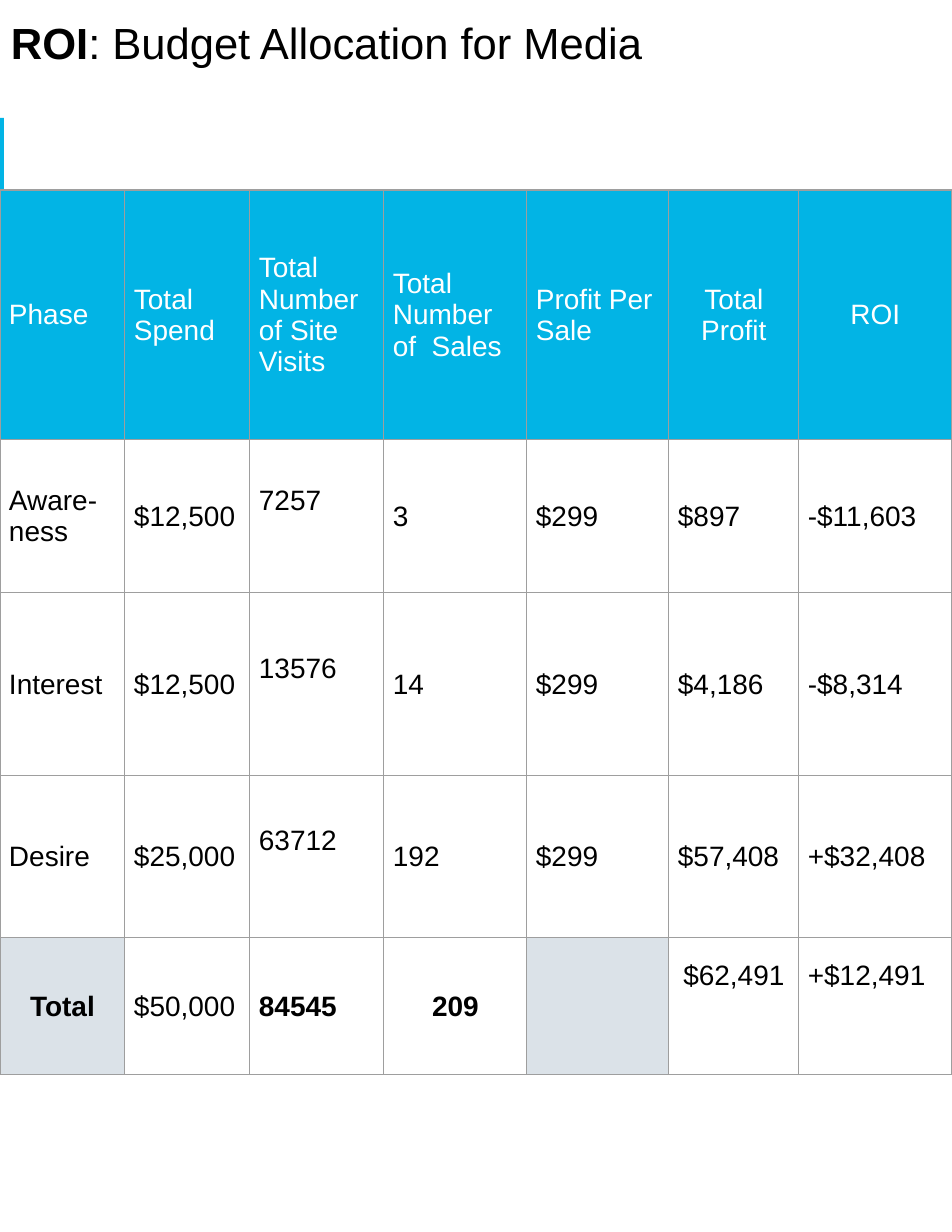
from pptx import Presentation
from pptx.dml.color import RGBColor
from pptx.enum.shapes import MSO_SHAPE
from pptx.enum.text import MSO_ANCHOR, PP_ALIGN
from pptx.oxml import parse_xml
from pptx.oxml.ns import nsdecls
from pptx.util import Emu, Pt

RECT = MSO_SHAPE.RECTANGLE
TOP, MIDDLE = MSO_ANCHOR.TOP, MSO_ANCHOR.MIDDLE
LEFT, CENTER = PP_ALIGN.LEFT, PP_ALIGN.CENTER

PX_PER_INCH = 112
FONT = "Arial"
COLORS = {
    "accent": "02B4E5",
    "muted": "DBE2E8",
    "border": "9E9E9E",
    "text": "000000",
    "white": "FFFFFF",
}

COL_WIDTHS = [125, 125, 134, 143, 142, 130, 153]
ROW_HEIGHTS = [250, 153, 183, 162, 137]
ROWS = [
    ["Phase", "Total Spend", "Total Number of Site Visits",
     "Total Number of  Sales", "Profit Per Sale", "Total Profit", "ROI"],
    ["Aware-\nness", "$12,500", "7257", "3", "$299", "$897", "-$11,603"],
    ["Interest", "$12,500", "13576", "14", "$299", "$4,186", "-$8,314"],
    ["Desire", "$25,000", "63712", "192", "$299", "$57,408", "+$32,408"],
    ["Total", "$50,000", "84545", "209", "", "$62,491", "+$12,491"],
]
HEADER, TOTAL = 0, len(ROWS) - 1
VISITS = 2
CENTERED = {(HEADER, 5), (HEADER, 6), (TOTAL, 0), (TOTAL, 3), (TOTAL, 5)}
BOLD = {(TOTAL, 0), (TOTAL, 2), (TOTAL, 3)}
MUTED = {(TOTAL, 0), (TOTAL, 4)}
TOP_ALIGNED = {(TOTAL, 5), (TOTAL, 6)}


def px(n):
    return Emu(n * 914400 // PX_PER_INCH)


def rgb(name):
    return RGBColor.from_string(COLORS[name])


def style_font(font, size, color, bold=False):
    font.name = FONT
    font.size = Pt(size)
    font.bold = bold
    font.color.rgb = rgb(color)


def add_bar(slide, x, y, w, h):
    sp = slide.shapes.add_shape(RECT, px(x), px(y), px(w), px(h))
    sp.shadow.inherit = False
    sp.fill.solid()
    sp.fill.fore_color.rgb = rgb("accent")
    sp.line.fill.background()


def add_title(slide, x, y, w, h, parts):
    tf = slide.shapes.add_textbox(px(x), px(y), px(w), px(h)).text_frame
    tf.word_wrap = True
    tf.vertical_anchor = TOP
    tf.margin_left = tf.margin_right = tf.margin_bottom = px(11)
    tf.margin_top = px(16)
    for text, bold in parts:
        r = tf.paragraphs[0].add_run()
        r.text = text
        style_font(r.font, 28, "text", bold)


def set_borders(cell):
    tc_pr = cell._tc.get_or_add_tcPr()
    for i, side in enumerate(("lnL", "lnR", "lnT", "lnB")):
        tc_pr.insert(i, parse_xml(
            f'<a:{side} {nsdecls("a")} w="{Pt(0.75)}"><a:solidFill>'
            f'<a:srgbClr val="{COLORS["border"]}"/></a:solidFill></a:{side}>'))


def fill_cell(cell, row, col, text):
    key = (row, col)
    # Background and borders
    if row == HEADER or key in MUTED:
        cell.fill.solid()
        cell.fill.fore_color.rgb = rgb("accent" if row == HEADER else "muted")
    else:
        cell.fill.background()
    set_borders(cell)
    # Placement: visit counts sit a little above the middle
    cell.margin_left = cell.margin_right = px(9)
    cell.margin_top = cell.margin_bottom = px(22)
    if col == VISITS and HEADER < row < TOTAL:
        cell.margin_bottom = px(54)
    cell.vertical_anchor = TOP if key in TOP_ALIGNED else MIDDLE
    # Text
    cell.text_frame.text = text
    for p in cell.text_frame.paragraphs:
        p.alignment = CENTER if key in CENTERED else LEFT
        for r in p.runs:
            style_font(r.font, 18, "white" if row == HEADER else "text",
                       key in BOLD)


def add_roi_table(slide, x, y):
    table = slide.shapes.add_table(
        len(ROWS), len(COL_WIDTHS), px(x), px(y),
        px(sum(COL_WIDTHS)), px(sum(ROW_HEIGHTS))).table
    table.first_row = table.horz_banding = False
    for column, width in zip(table.columns, COL_WIDTHS):
        column.width = px(width)
    for i, (height, values) in enumerate(zip(ROW_HEIGHTS, ROWS)):
        table.rows[i].height = px(height)
        for j, text in enumerate(values):
            fill_cell(table.cell(i, j), i, j, text)


def main():
    prs = Presentation()
    prs.slide_width, prs.slide_height = px(952), px(1232)
    slide = prs.slides.add_slide(prs.slide_layouts[6])
    # Accent bar and title
    add_bar(slide, 0, 118, 4, 114)
    add_title(slide, 0, 0, 887, 137,
              [("ROI", True), (": Budget Allocation for Media", False)])
    # Budget table
    add_roi_table(slide, 0, 190)
    prs.save("out.pptx")


if __name__ == "__main__":
    main()
